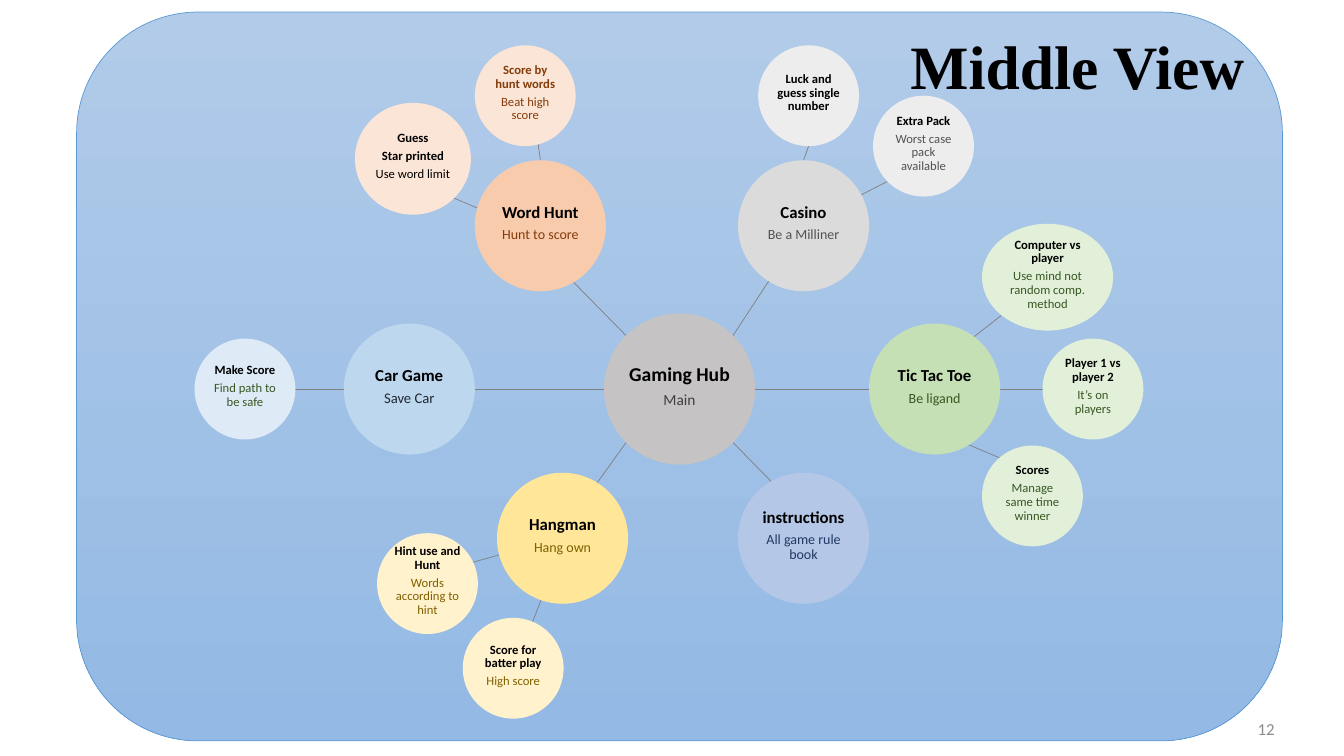
import dataclasses
import pptx
import pptx.util
import pptx.dml.color
import pptx.enum.shapes
import pptx.enum.text
import lxml.etree
from pptx.util import Inches


@dataclasses.dataclass(frozen=True)
class Theme:
    body_font: str = "Calibri"
    title_font: str = "Times New Roman"
    title_size: float = 44
    number_size: float = 12
    black: str = "000000"
    panel_top: str = "B1CBE9"
    panel_bottom: str = "93B9E4"
    panel_line: str = "5B9BD5"
    link: str = "808080"
    number: str = "8C8C8C"
    hub: str = "C5C3C3"
    hub_text: str = "404040"
    # Each family: game fill, leaf fill, detail text
    orange: tuple = ("F8CBAD", "FBE5D6", "843C0B")
    gray: tuple = ("DBDBDB", "EDEDED", "525252")
    green: tuple = ("C5E0B4", "E2F0D9", "385723")
    yellow: tuple = ("FFE699", "FFF2CC", "806000")
    blue: tuple = ("BDD7EE", "DEEBF7", "222A35")
    indigo: tuple = ("B4C7E7", "B4C7E7", "203864")
    # Each level: heading size, detail size
    hub_sizes: tuple = (14, 11)
    game_sizes: tuple = (12, 10)
    car_sizes: tuple = (12, 10.5)
    leaf_sizes: tuple = (9, 9)


theme = Theme()


def rgb(value):
    return pptx.dml.color.RGBColor.from_string(value)


def add_run(paragraph, text, size, color, bold=False, font=theme.body_font):
    run = paragraph.add_run()
    run.text = text
    run.font.name = font
    run.font.size = pptx.util.Pt(size)
    run.font.bold = bold
    run.font.color.rgb = rgb(color)


presentation = pptx.Presentation()
presentation.slide_width = Inches(13.33)
presentation.slide_height = Inches(7.5)
slide = presentation.slides.add_slide(presentation.slide_layouts[5])
shapes = slide.shapes
middle = pptx.enum.text.MSO_ANCHOR.MIDDLE

# Background panel
panel = shapes.add_shape(pptx.enum.shapes.MSO_SHAPE.ROUNDED_RECTANGLE,
                         Inches(0.76), Inches(0.12), Inches(11.96), Inches(7.23))
panel.shadow.inherit = False
panel.fill.gradient()
panel.fill.gradient_angle = 270
for stop, color in zip(panel.fill.gradient_stops, (theme.panel_top, theme.panel_bottom)):
    stop.color.rgb = rgb(color)
panel.line.color.rgb = rgb(theme.panel_line)
panel.line.width = pptx.util.Pt(0.5)

# Links: x and y of both ends
links = [
    # Hub to games
    (6.21, 3.33, 5.64, 2.75), (7.27, 3.33, 7.67, 2.72), (7.49, 3.86, 8.62, 3.86),
    (5.99, 3.86, 4.71, 3.86), (6.21, 4.39, 5.8, 4.96), (7.27, 4.39, 7.77, 4.9),
    # Games to leaves
    (7.97, 1.59, 8.02, 1.45), (8.51, 1.95, 8.8, 1.8), (5.36, 1.59, 5.32, 1.3),
    (4.82, 2.1, 4.3, 1.88), (3.41, 3.86, 2.76, 3.86), (5.04, 5.48, 4.4, 5.66),
    (5.43, 5.79, 5.18, 6.43), (9.92, 3.86, 10.46, 3.86), (9.56, 3.42, 9.93, 3.13),
    (9.46, 4.35, 9.98, 4.57),
]
for link in links:
    connector = shapes.add_connector(pptx.enum.shapes.MSO_CONNECTOR.STRAIGHT,
                                     *[Inches(value) for value in link])
    connector.line.color.rgb = rgb(theme.link)
    connector.line.width = pptx.util.Pt(0.5)
    lxml.etree.SubElement(connector.element.spPr, pptx.oxml.ns.qn("a:effectLst"))

# Bubbles: left, top, width, height, fill, sizes, heading color, detail color, headings, detail
bubbles = [(5.99, 3.11, 1.5, 1.5, theme.hub, theme.hub_sizes, theme.black, theme.hub_text,
            ["Gaming Hub"], "Main")]

games = [
    (4.93, 4.69, theme.yellow, theme.game_sizes, "Hangman", "Hang own"),
    (4.71, 1.59, theme.orange, theme.game_sizes, "Word Hunt", "Hunt to score"),
    (7.32, 1.59, theme.gray, theme.game_sizes, "Casino", "Be a Milliner"),
    (3.41, 3.21, theme.blue, theme.car_sizes, "Car Game", "Save Car"),
    (7.32, 4.69, theme.indigo, theme.game_sizes, "instructions", "All game rule book"),
    (8.62, 3.21, theme.green, theme.game_sizes, "Tic Tac Toe", "Be ligand"),
]
for left, top, family, sizes, heading, detail in games:
    bubbles.append((left, top, 1.3, 1.3, family[0], sizes, theme.black, family[2],
                    [heading], detail))

leaves = [
    (4.71, 0.45, 1, 1, theme.orange, theme.orange[2], theme.orange[2],
     ["Score by hunt words"], "Beat high score"),
    (3.52, 1.02, 1.15, 1.11, theme.orange, theme.black, theme.black,
     ["Guess", "Star printed"], "Use word limit"),
    (7.52, 0.45, 1, 1, theme.gray, theme.black, theme.gray[2],
     ["Luck and guess single number"], ""),
    (8.66, 0.95, 1, 1, theme.gray, theme.black, theme.gray[2],
     ["Extra Pack"], "Worst case pack available"),
    (3.74, 5.29, 1, 1, theme.yellow, theme.black, theme.yellow[2],
     ["Hint use and Hunt"], "Words according to hint"),
    (4.59, 6.13, 1, 1, theme.yellow, theme.black, theme.yellow[2],
     ["Score for batter play"], "High score"),
    (1.93, 3.36, 1, 1, theme.blue, theme.black, theme.green[2],
     ["Make Score"], "Find path to be safe"),
    (9.74, 2.22, 1.3, 1.06, theme.green, theme.black, theme.green[2],
     ["Computer vs player"], "Use mind not random comp. method"),
    (10.34, 3.36, 1, 1, theme.green, theme.black, theme.green[2],
     ["Player 1 vs player 2"], "It’s on players"),
    (9.74, 4.42, 1, 1, theme.green, theme.black, theme.green[2],
     ["Scores"], "Manage same time winner"),
]
for left, top, width, height, family, heading_color, detail_color, headings, detail in leaves:
    bubbles.append((left, top, width, height, family[1], theme.leaf_sizes,
                    heading_color, detail_color, headings, detail))

for (left, top, width, height, fill, sizes, heading_color, detail_color,
     headings, detail) in bubbles:
    bubble = shapes.add_shape(pptx.enum.shapes.MSO_SHAPE.OVAL, Inches(left), Inches(top),
                              Inches(width), Inches(height))
    bubble.shadow.inherit = False
    bubble.fill.solid()
    bubble.fill.fore_color.rgb = rgb(fill)
    bubble.line.fill.background()
    frame = bubble.text_frame
    frame.word_wrap = True
    frame.vertical_anchor = middle
    frame.margin_left = frame.margin_right = frame.margin_top = Inches(0.01)
    frame.margin_bottom = Inches(0.06)
    lines = [(heading, sizes[0], heading_color, True) for heading in headings]
    if detail:
        lines.append((detail, sizes[1], detail_color, False))
    for index, (text, size, color, bold) in enumerate(lines):
        paragraph = frame.add_paragraph() if index else frame.paragraphs[0]
        paragraph.alignment = pptx.enum.text.PP_ALIGN.CENTER
        paragraph.line_spacing = 0.9
        paragraph.space_after = pptx.util.Pt(round(size * 0.35, 1))
        add_run(paragraph, text, size, color, bold)

# Title, in front of the panel
title = shapes.title
title.left, title.top, title.width, title.height = (
    Inches(8.93), Inches(0.22), Inches(4.3), Inches(0.93))
title.text_frame.word_wrap = True
title.text_frame.vertical_anchor = middle
paragraph = title.text_frame.paragraphs[0]
paragraph.alignment = pptx.enum.text.PP_ALIGN.LEFT
paragraph.line_spacing = 0.9
add_run(paragraph, "Middle View", theme.title_size, theme.black, True, theme.title_font)
shapes.element.append(title.element)

# Slide number
number = shapes.add_textbox(Inches(9.74), Inches(7.03), Inches(3), Inches(0.4))
number.text_frame.word_wrap = True
number.text_frame.vertical_anchor = middle
paragraph = number.text_frame.paragraphs[0]
paragraph.alignment = pptx.enum.text.PP_ALIGN.RIGHT
add_run(paragraph, "12", theme.number_size, theme.number)

presentation.save("out.pptx")
